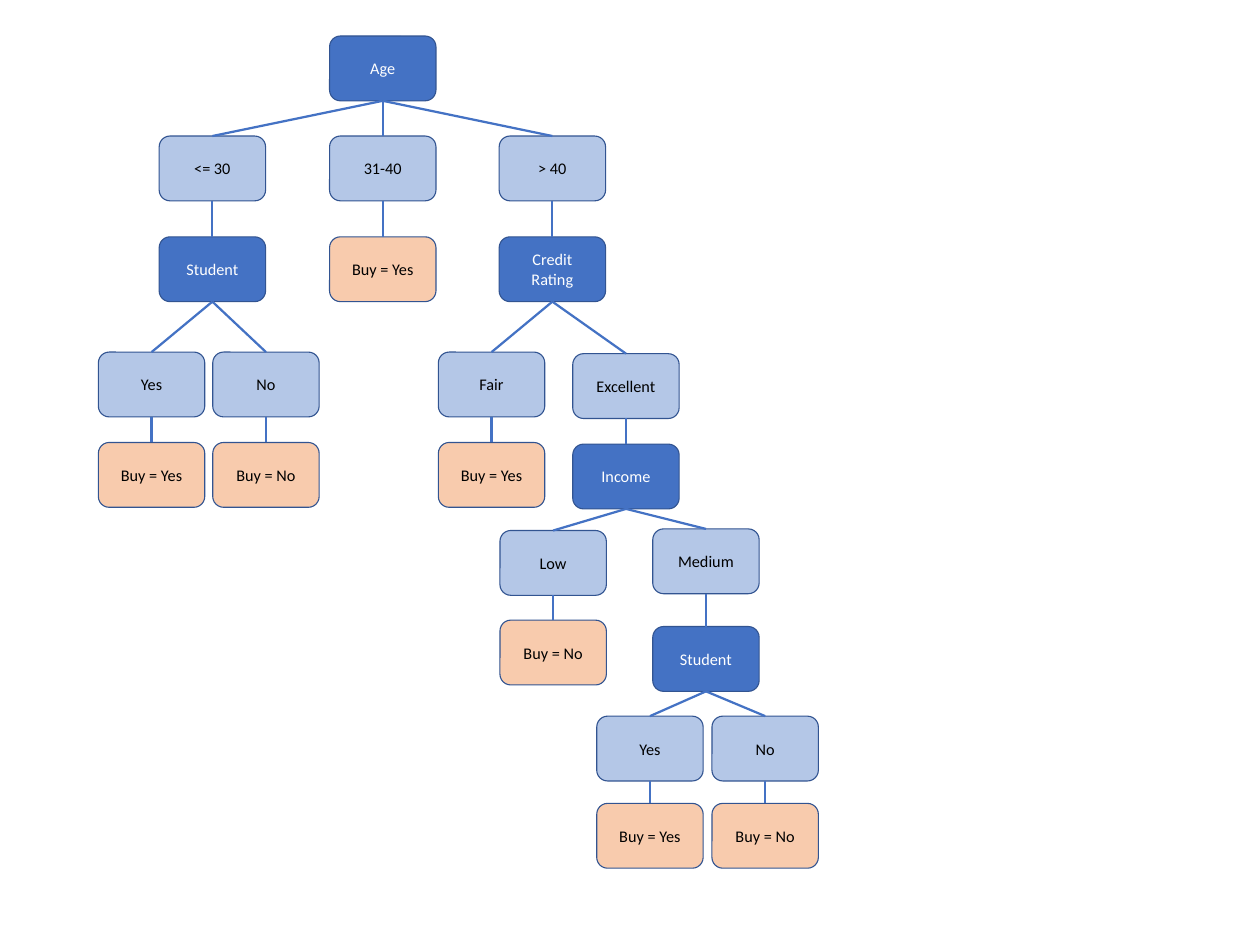
from pptx import Presentation
from pptx.dml.color import RGBColor
from pptx.enum.shapes import MSO_CONNECTOR, MSO_SHAPE
from pptx.enum.text import MSO_ANCHOR, PP_ALIGN
from pptx.oxml.ns import qn
from pptx.util import Inches, Pt
from lxml.etree import SubElement

BLUE = RGBColor(0x44, 0x72, 0xC4)
PALE = RGBColor(0xB4, 0xC7, 0xE7)
PEACH = RGBColor(0xF8, 0xCB, 0xAD)
EDGE = RGBColor(0x32, 0x54, 0x91)
WHITE = RGBColor(0xFF, 0xFF, 0xFF)
BLACK = RGBColor(0x00, 0x00, 0x00)

deck = Presentation()
deck.slide_width, deck.slide_height = Inches(15.75), Inches(11.81)
slide = deck.slides.add_slide(deck.slide_layouts[6])


def add_node(text, left, top, fill, color):
    node = slide.shapes.add_shape(MSO_SHAPE.ROUNDED_RECTANGLE, Inches(left),
                                  Inches(top), Inches(1.33), Inches(0.81))
    node.shadow.inherit = False
    node.fill.solid()
    node.fill.fore_color.rgb = fill
    node.line.color.rgb = EDGE
    node.line.width = Pt(1)
    frame = node.text_frame
    frame.word_wrap = True
    frame.margin_left = frame.margin_right = Inches(0.12)
    frame.vertical_anchor = MSO_ANCHOR.MIDDLE
    para = frame.paragraphs[0]
    para.alignment = PP_ALIGN.CENTER
    run = para.add_run()
    run.text = text
    run.font.name = "Calibri"
    run.font.size = Pt(14.6)
    run.font.color.rgb = color
    return node


def add_link(parent, child):
    link = slide.shapes.add_connector(MSO_CONNECTOR.STRAIGHT, 0, 0, 0, 0)
    link.begin_connect(parent, 2)
    link.end_connect(child, 0)
    link.line.color.rgb = BLUE
    link.line.width = Pt(2)
    SubElement(link._element.spPr, qn("a:effectLst"))


# Fill and text colour: attribute tested, its value, decision
STYLES = {"test": (BLUE, WHITE), "value": (PALE, BLACK), "leaf": (PEACH, BLACK)}

# Tree: key, parent key, style, text, left, top
TREE = [
    ("age", None, "test", "Age", 4.12, 0.45),
    # Age up to 30
    ("young", "age", "value", "<= 30", 1.99, 1.7),
    ("pupil", "young", "test", "Student", 1.99, 2.96),
    ("yes", "pupil", "value", "Yes", 1.23, 4.4),
    ("yes buy", "yes", "leaf", "Buy = Yes", 1.23, 5.53),
    ("no", "pupil", "value", "No", 2.66, 4.4),
    ("no buy", "no", "leaf", "Buy = No", 2.66, 5.53),
    # Age 31 to 40
    ("middle", "age", "value", "31-40", 4.12, 1.7),
    ("middle buy", "middle", "leaf", "Buy = Yes", 4.12, 2.96),
    # Age over 40
    ("old", "age", "value", "> 40", 6.24, 1.7),
    ("credit", "old", "test", "Credit Rating", 6.24, 2.96),
    ("fair", "credit", "value", "Fair", 5.48, 4.4),
    ("fair buy", "fair", "leaf", "Buy = Yes", 5.48, 5.53),
    ("top", "credit", "value", "Excellent", 7.16, 4.42),
    # Income, under excellent credit
    ("income", "top", "test", "Income", 7.16, 5.55),
    ("low", "income", "value", "Low", 6.25, 6.63),
    ("low buy", "low", "leaf", "Buy = No", 6.25, 7.75),
    ("medium", "income", "value", "Medium", 8.16, 6.61),
    # Student, under medium income
    ("earner", "medium", "test", "Student", 8.16, 7.83),
    ("earner yes", "earner", "value", "Yes", 7.46, 8.95),
    ("earner yes buy", "earner yes", "leaf", "Buy = Yes", 7.46, 10.04),
    ("earner no", "earner", "value", "No", 8.9, 8.95),
    ("earner no buy", "earner no", "leaf", "Buy = No", 8.9, 10.04),
]

# Draw each node and its link to the parent
nodes = {}
for key, parent, style, text, left, top in TREE:
    fill, color = STYLES[style]
    nodes[key] = add_node(text, left, top, fill=fill, color=color)
    if parent:
        add_link(nodes[parent], nodes[key])

deck.save("out.pptx")
